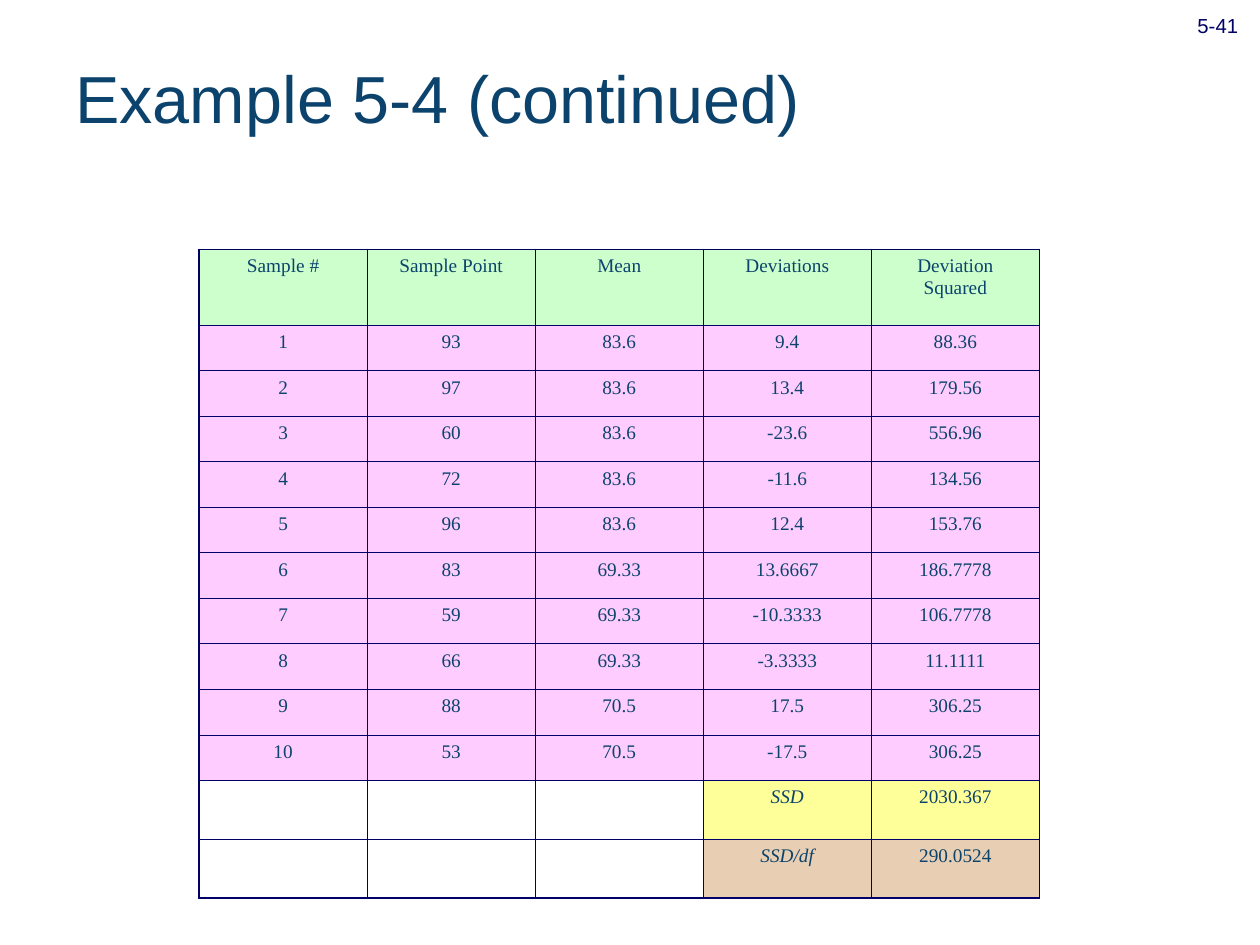
from dataclasses import dataclass

import lxml.etree
import pptx
import pptx.dml.color
import pptx.enum.text
import pptx.oxml.ns
import pptx.util

RGBColor = pptx.dml.color.RGBColor
Alignment = pptx.enum.text.PP_ALIGN
Anchor = pptx.enum.text.MSO_ANCHOR
AutoSize = pptx.enum.text.MSO_AUTO_SIZE
Points = pptx.util.Pt

NAVY = RGBColor(0x00, 0x00, 0x66)
TEAL = RGBColor(0x0C, 0x43, 0x6C)
GREEN = RGBColor(0xCC, 0xFF, 0xCC)
PINK = RGBColor(0xFF, 0xCC, 0xFF)
YELLOW = RGBColor(0xFF, 0xFF, 0x99)
TAN = RGBColor(0xE8, 0xCE, 0xB2)

SLIDE_WIDTH = pptx.util.Inches(10)
SLIDE_HEIGHT = pptx.util.Inches(7.5)
INNER_LINE = 0.45
OUTER_LINE = 1.08

TITLE_FORMAT = {"name": "Arial", "size": Points(38)}
NUMBER_FORMAT = {"name": "Arial", "size": Points(20)}
CELL_FORMAT = {"name": "Times New Roman", "size": Points(11)}


@dataclass(frozen=True)
class Area:
    """A rectangle in percent of the slide's width and height."""
    left: float
    top: float
    width: float
    height: float

    def lengths(self) -> tuple[int, ...]:
        shares = (self.left, self.top, self.width, self.height)
        sides = (SLIDE_WIDTH, SLIDE_HEIGHT) * 2
        return tuple(round(share * side / 100) for share, side in zip(shares, sides))


@dataclass(frozen=True)
class TableRow:
    values: tuple[str, ...]
    fill: RGBColor
    height: float  # percent of the slide's height
    is_total: bool = False


TITLE_AREA = Area(5, 2.13, 92.7, 16.27)
NUMBER_AREA = Area(92.9, -1.73, 7.5, 6.4)
TABLE_AREA = Area(15.8, 26.4, 66.7, 68.6)

HEADINGS = ("Sample #", "Sample Point", "Mean", "Deviations", "Deviation Squared")
SAMPLES = (
    ("93", "83.6", "9.4", "88.36"),
    ("97", "83.6", "13.4", "179.56"),
    ("60", "83.6", "-23.6", "556.96"),
    ("72", "83.6", "-11.6", "134.56"),
    ("96", "83.6", "12.4", "153.76"),
    ("83", "69.33", "13.6667", "186.7778"),
    ("59", "69.33", "-10.3333", "106.7778"),
    ("66", "69.33", "-3.3333", "11.1111"),
    ("88", "70.5", "17.5", "306.25"),
    ("53", "70.5", "-17.5", "306.25"),
)
ROWS = (
    TableRow(HEADINGS, GREEN, 8),
    *(TableRow((str(number), *sample), PINK, 4.82)
      for number, sample in enumerate(SAMPLES, start=1)),
    TableRow(("", "", "", "SSD", "2030.367"), YELLOW, 6.24, is_total=True),
    TableRow(("", "", "", "SSD/df", "290.0524"), TAN, 6.24, is_total=True),
)


def write_text(paragraph, text: str, text_format: dict, color: RGBColor):
    run = paragraph.add_run()
    run.text = text
    for name, value in text_format.items():
        setattr(run.font, name, value)
    run.font.color.rgb = color
    return run


def add_text_box(slide, area: Area, text: str, text_format: dict, color: RGBColor,
                 frame_format: dict, paragraph_format: dict):
    frame = slide.shapes.add_textbox(*area.lengths()).text_frame
    paragraph = frame.paragraphs[0]
    for target, values in ((frame, frame_format), (paragraph, paragraph_format)):
        for name, value in values.items():
            setattr(target, name, value)
    return write_text(paragraph, text, text_format, color)


def set_borders(cell, widths: dict[str, float]) -> None:
    properties = cell._tc.get_or_add_tcPr()
    qualified = pptx.oxml.ns.qn
    for position, (side, width) in enumerate(widths.items()):
        line = lxml.etree.Element(qualified(f"a:ln{side}"), w=str(Points(width)))
        fill = lxml.etree.SubElement(line, qualified("a:solidFill"))
        lxml.etree.SubElement(fill, qualified("a:srgbClr"), val=str(NAVY))
        properties.insert(position, line)


def fill_cell(cell, text: str, row: TableRow) -> None:
    if not text:
        cell.fill.background()
        return
    cell.fill.solid()
    cell.fill.fore_color.rgb = row.fill
    paragraph = cell.text_frame.paragraphs[0]
    paragraph.alignment = Alignment.CENTER
    paragraph.space_before = Points(2.8)
    is_label = row.is_total and text.startswith("SSD")
    write_text(paragraph, text, CELL_FORMAT | {"italic": is_label}, TEAL)


def add_deviation_table(slide, area: Area, rows: tuple[TableRow, ...]) -> None:
    column_count = len(HEADINGS)
    table = slide.shapes.add_table(len(rows), column_count, *area.lengths()).table
    table.first_row = table.horz_banding = False
    last_row, last_column = len(rows) - 1, column_count - 1
    for row_index, row in enumerate(rows):
        table.rows[row_index].height = round(SLIDE_HEIGHT * row.height / 100)
        for column_index, text in enumerate(row.values):
            cell = table.cell(row_index, column_index)
            fill_cell(cell, text, row)
            on_edge = {"L": column_index == 0, "R": column_index == last_column,
                       "T": row_index == 0, "B": row_index == last_row}
            set_borders(cell, {side: OUTER_LINE if edge else INNER_LINE
                               for side, edge in on_edge.items()})


def main() -> None:
    presentation = pptx.Presentation()
    presentation.slide_width = SLIDE_WIDTH
    presentation.slide_height = SLIDE_HEIGHT
    slide = presentation.slides.add_slide(presentation.slide_layouts[6])

    # Title
    add_text_box(slide, TITLE_AREA, "Example 5-4 (continued)", TITLE_FORMAT, TEAL,
                 {"word_wrap": True, "vertical_anchor": Anchor.MIDDLE}, {})

    # Sample deviations and their totals
    add_deviation_table(slide, TABLE_AREA, ROWS)

    # Page number, set as a subscript
    number = add_text_box(slide, NUMBER_AREA, "5-41", NUMBER_FORMAT, NAVY,
                          {"word_wrap": True, "auto_size": AutoSize.SHAPE_TO_FIT_TEXT},
                          {"alignment": Alignment.CENTER, "space_before": Points(12.5)})
    number._r.get_or_add_rPr().set("baseline", "-25000")

    presentation.save("out.pptx")


if __name__ == "__main__":
    main()
